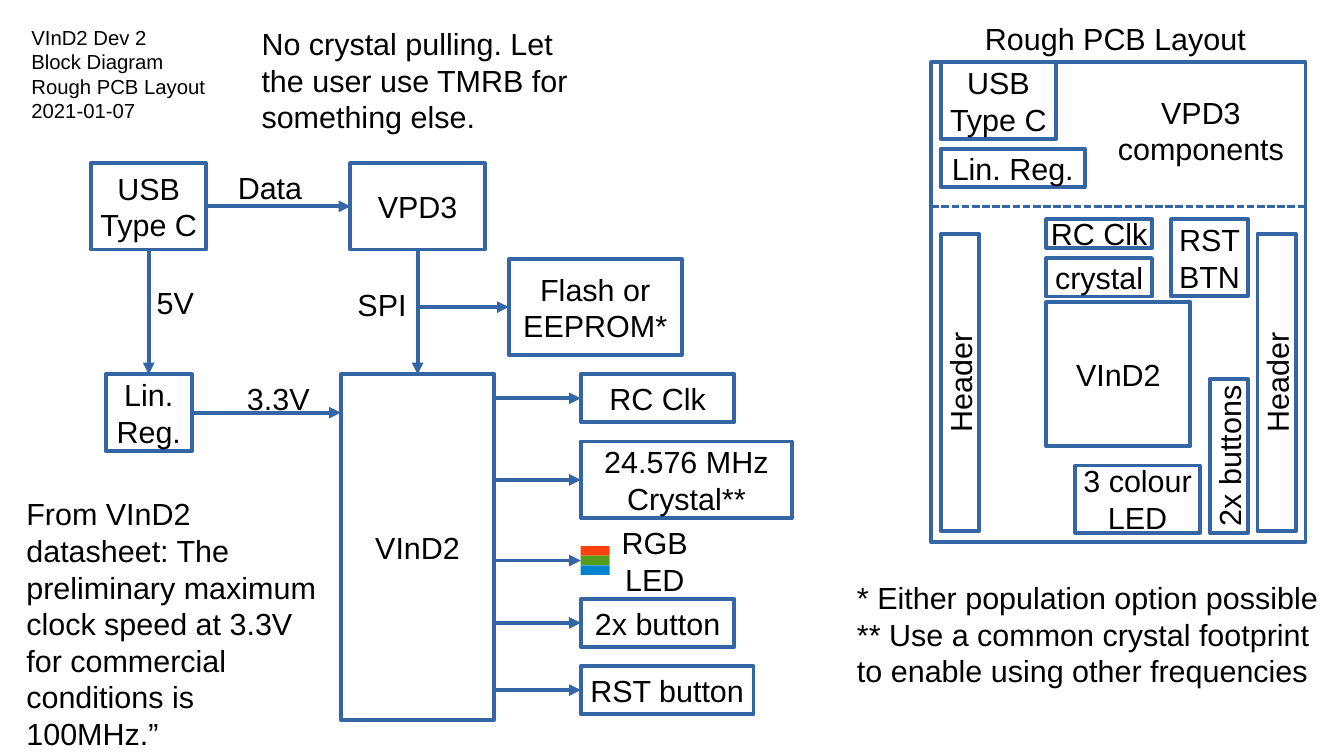
from pptx import Presentation
from pptx.dml.color import RGBColor
from pptx.enum.dml import MSO_LINE
from pptx.enum.shapes import MSO_CONNECTOR, MSO_SHAPE
from pptx.enum.text import MSO_ANCHOR, MSO_AUTO_SIZE, PP_ALIGN
from pptx.oxml.ns import qn
from pptx.util import Inches, Pt
from lxml.etree import SubElement

# Content: every place is (column, row, columns, rows) on a grid 280 columns wide
WIDE, HIGH, COLS = 11.02, 6.2, 280
FONT = "Arial"
HEX = {"ink": "000000", "edge": "3465A4", "fill": "FFFFFF"}
LED = ["FF420E", "579D1C", "0084D1"]

TITLE = ("VInD2 Dev 2\nBlock Diagram\nRough PCB Layout\n2021-01-07", (4, 4, 50, 21.6))
NOTES = ("* Either population option possible\n"
         "** Use a common crystal footprint to enable using other frequencies",
         (176, 119.4, 102, 34.8))

CHIP = ("VInD2", (71, 78, 32, 72))
USB = ("USB\nType C", (19, 34, 24, 18))
REG = ("Lin.\nReg.", (22, 78, 18, 16))
PROG = ("VPD3", (73, 34, 28, 18))
FLASH = ("Flash or\nEEPROM*", (106, 54, 36, 20))
PARTS = [
    ("RC Clk", (121, 78, 32, 10)),
    ("24.576 MHz\nCrystal**", (121, 92, 44, 16)),
    ("2x button", (121, 124.8, 32, 10)),
    ("RST button", (121, 138.8, 36, 10)),
]
LAMP = (121, 113.8, 6, 6)

BOARD = (194, 13, 78, 100)
SPLIT = 43
LAYOUT = [
    ("USB\nType C", (196, 13, 24, 16)),
    ("Lin. Reg.", (196, 31, 30, 8)),
    ("RC Clk", (218, 45.7, 22, 6)),
    ("crystal", (218, 53.8, 22, 8)),
    ("RST\nBTN", (244, 45.7, 16, 16)),
    ("VInD2", (218, 63, 30, 30)),
    ("3 colour\nLED", (224, 97, 26, 14)),
]
UPRIGHT = [
    ("Header", (196, 48.7, 8, 62)),
    ("Header", (262, 48.7, 8, 62)),
    ("2x buttons", (252, 79, 8, 32)),
]

# Free text: wording, place, wraps
LABELS = [
    ("Data", (47, 34, 18.5, 9.7), False),
    ("5V", (30.2, 58, 12.7, 9.7), False),
    ("3.3V", (49, 78, 18, 9.7), False),
    ("SPI", (72, 58.4, 15.2, 9.7), False),
    ("RGB\nLED", (127, 108, 18.8, 16.8), False),
    ("VPD3\ncomponents", (230.4, 18.3, 39.6, 16.8), False),
    ("Rough PCB Layout", (202.7, 3, 59.4, 9.7), False),
    ("From VInD2 datasheet: The preliminary maximum clock speed at 3.3V "
     "for commercial conditions is 100MHz.”", (3, 102, 67, 55), True),
    ("No crystal pulling. Let the user use TMRB for something else.",
     (52, 4, 72, 25), True),
]

deck = Presentation()
deck.slide_width, deck.slide_height = Inches(WIDE), Inches(HIGH)
slide = deck.slides.add_slide(deck.slide_layouts[1])
shapes = slide.shapes


def grid(*cells):
    return [Inches(cell * WIDE / COLS) for cell in cells]


def paint(hue):
    return RGBColor.from_string(hue)


def write(shape, text, size=18, align=PP_ALIGN.LEFT, anchor=MSO_ANCHOR.TOP, wrap=True):
    frame = shape.text_frame
    frame.text = text
    frame.word_wrap, frame.auto_size = wrap, MSO_AUTO_SIZE.NONE
    frame.vertical_anchor = anchor
    for para in frame.paragraphs:
        para.alignment, para.space_before = align, Pt(0)
        para.font.name, para.font.size = FONT, Pt(size)
        para.font.color.rgb = paint(HEX["ink"])


def block(place, fill=HEX["fill"], edge=HEX["edge"]):
    shape = shapes.add_shape(MSO_SHAPE.RECTANGLE, *grid(*place))
    shape.shadow.inherit = False
    shape.fill.solid()
    shape.fill.fore_color.rgb = paint(fill)
    if edge:
        shape.line.color.rgb, shape.line.width = paint(edge), Pt(2.3)
    else:
        shape.line.fill.background()
    return shape


def box(text, place):
    shape = block(place)
    write(shape, text, align=PP_ALIGN.CENTER, anchor=MSO_ANCHOR.MIDDLE, wrap=False)
    return shape


def link(x1, y1, x2, y2, width=2.3):
    line = shapes.add_connector(MSO_CONNECTOR.STRAIGHT, *grid(x1, y1, x2, y2))
    line.line.color.rgb, line.line.width = paint(HEX["edge"]), Pt(width)
    SubElement(line._element.spPr, qn("a:effectLst"))
    return line


def arrow(*ends):
    line = link(*ends)
    SubElement(line.line._get_or_add_ln(), qn("a:tailEnd"), type="triangle")


def across(start, place):
    """Arrow from a column to the middle of a box's left side."""
    mid = place[1] + place[3] / 2
    arrow(start, mid, place[0], mid)


def down(top, low):
    """Arrow from the middle of one box's foot to the box below."""
    mid = top[0] + top[2] / 2
    arrow(mid, top[1] + top[3], mid, low[1])


# Title and footnotes
for holder, (text, place), size in zip(slide.placeholders, (TITLE, NOTES), (12, 18)):
    holder.left, holder.top, holder.width, holder.height = grid(*place)
    write(holder, text, size)
for para in slide.placeholders[1].text_frame.paragraphs:
    props = para._p.get_or_add_pPr()
    props.set("marL", "0")
    props.set("indent", "0")
    bullet = props.makeelement(qn("a:buNone"), {})
    props.find(qn("a:defRPr")).addprevious(bullet)

# Block diagram
for text, place in [CHIP, USB, REG, PROG, FLASH, *PARTS]:
    box(text, place)
step = LAMP[3] / len(LED)
for row, hue in enumerate(LED):
    block((LAMP[0], LAMP[1] + row * step, LAMP[2], step), hue, None)

# Arrows
down(USB[1], REG[1])
down(PROG[1], CHIP[1])
across(USB[1][0] + USB[1][2], PROG[1])
across(PROG[1][0] + PROG[1][2] / 2, FLASH[1])
arrow(REG[1][0] + REG[1][2], 86, CHIP[1][0], 86)
for place in [LAMP, *(part[1] for part in PARTS)]:
    across(CHIP[1][0] + CHIP[1][2], place)

# Board layout
block(BOARD)
link(BOARD[0], SPLIT, BOARD[0] + BOARD[2], SPLIT, 1.5).line.dash_style = MSO_LINE.SQUARE_DOT
for text, place in LAYOUT:
    box(text, place)
for text, (left, top, wide, high) in UPRIGHT:
    shift = (high - wide) / 2
    box(text, (left - shift, top + shift, high, wide)).rotation = 270

# Labels
for text, place, wrap in LABELS:
    align = PP_ALIGN.LEFT if wrap else PP_ALIGN.CENTER
    write(shapes.add_textbox(*grid(*place)), text, align=align, wrap=wrap)

deck.save("out.pptx")
